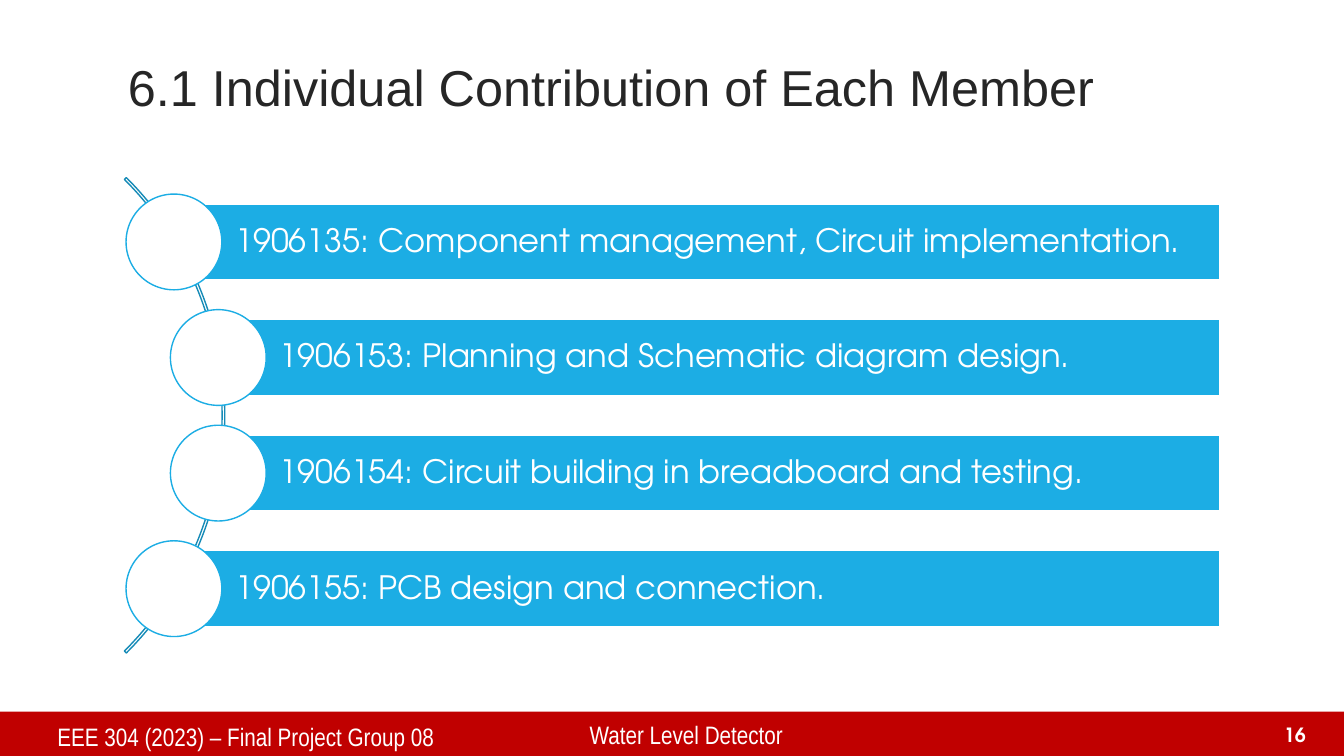
from pptx import Presentation
from pptx.dml.color import RGBColor
from pptx.enum.shapes import MSO_SHAPE as Shape
from pptx.enum.text import MSO_ANCHOR as Anchor, PP_ALIGN as Align
from pptx.util import Inches, Pt

WHITE, BLUE, DARK_BLUE, RED, INK = "FFFFFF", "1CADE4", "168BB7", "C00000", "262626"
BODY_FONT, FOOTER_FONT = "TeX Gyre Adventor", "Arial Narrow"
MEMBERS = [
    ("1906135: Component management, Circuit implementation.", 0),
    ("1906153: Planning and Schematic diagram design.", 0.44),
    ("1906154: Circuit building in breadboard and testing.", 0.44),
    ("1906155: PCB design and connection.", 0),
]


def color(value):
    """Turn a hex string into a colour."""
    return RGBColor.from_string(value)


def add_shape(slide, kind, box, fill=None, line=None, width=1):
    """Add a flat preset shape, with optional fill and outline."""
    shape = slide.shapes.add_shape(kind, *map(Inches, box))
    shape.shadow.inherit = False
    if fill:
        shape.fill.solid()
        shape.fill.fore_color.rgb = color(fill)
    else:
        shape.fill.background()
    if line:
        shape.line.color.rgb = color(line)
        shape.line.width = Pt(width)
    else:
        shape.line.fill.background()
    return shape


def write(shape, text, font, size, ink=WHITE, bold=False, align=Align.LEFT,
          anchor=Anchor.TOP, spacing=None, insets=(0.1, 0.05, 0.1, 0.05)):
    """Write one paragraph into a shape or text box."""
    frame = shape.text_frame
    frame.word_wrap = True
    frame.vertical_anchor = anchor
    (frame.margin_left, frame.margin_top,
     frame.margin_right, frame.margin_bottom) = map(Inches, insets)
    paragraph = frame.paragraphs[0]
    paragraph.alignment = align
    if spacing:
        paragraph.line_spacing = spacing
    run = paragraph.add_run()
    run.text = text
    run.font.name, run.font.size, run.font.bold = font, Pt(size), bold
    run.font.color.rgb = color(ink)


def add_text(slide, box, text, font, size, **style):
    """Add a text box holding one paragraph."""
    write(slide.shapes.add_textbox(*map(Inches, box)), text, font, size, **style)


def add_title(slide, box):
    """Add the slide title."""
    add_text(slide, box, "6.1 Individual Contribution of Each Member", "Arial", 36,
             ink=INK, anchor=Anchor.MIDDLE, spacing=0.9)


def add_member_list(slide, box):
    """Add a curved list with one bar and circle per member."""
    left, top, width, height = box
    bar_height, circle, arc_size = 0.76, 0.95, 6.67
    pitch = (height - bar_height) / (len(MEMBERS) - 1)
    arc = add_shape(slide, Shape.BLOCK_ARC,
                    (left + 0.98 - arc_size, top + (height - arc_size) / 2,
                     arc_size, arc_size), line=DARK_BLUE)
    for index, value in enumerate((189, 27, 0.004)):
        arc.adjustments[index] = value
    for index, (text, indent) in enumerate(MEMBERS):
        bar_top = top + index * pitch
        bar_indent = indent + circle / 2
        bar = add_shape(slide, Shape.RECTANGLE,
                        (left + bar_indent, bar_top, width - bar_indent, bar_height),
                        BLUE, WHITE, 1.5)
        write(bar, text, BODY_FONT, 23, anchor=Anchor.MIDDLE, spacing=0.9,
              insets=(0.61, 0.06, 0.06, 0.06))
        add_shape(slide, Shape.OVAL,
                  (left + indent, bar_top + (bar_height - circle) / 2, circle, circle),
                  WHITE, BLUE)


def add_footer(slide, box):
    """Add the footer band with course, project and page number."""
    left, top, width, height = box
    add_shape(slide, Shape.RECTANGLE, box, RED)
    add_text(slide, (left + width - 0.85, top + 0.05, 0.57, 0.34), "16", BODY_FONT, 14,
             bold=True, align=Align.RIGHT, anchor=Anchor.BOTTOM)
    add_text(slide, (left + 0.47, top + 0.05, 5.28, 0.41),
             "EEE 304 (2023) – Final Project Group 08", FOOTER_FONT, 18)
    add_text(slide, (left + 5.75, top + 0.03, 6.73, 0.41),
             "Water Level Detector", FOOTER_FONT, 18)


def main():
    """Build and save the slide."""
    presentation = Presentation()
    presentation.slide_width, presentation.slide_height = Inches(13.33), Inches(7.5)
    slide = presentation.slides.add_slide(presentation.slide_layouts[6])
    add_title(slide, (1.17, 0.5, 11, 0.8))
    add_member_list(slide, (1.25, 2.02, 10.85, 4.2))
    add_footer(slide, (0, 7.06, 13.33, 0.44))
    presentation.save("out.pptx")


if __name__ == "__main__":
    main()
